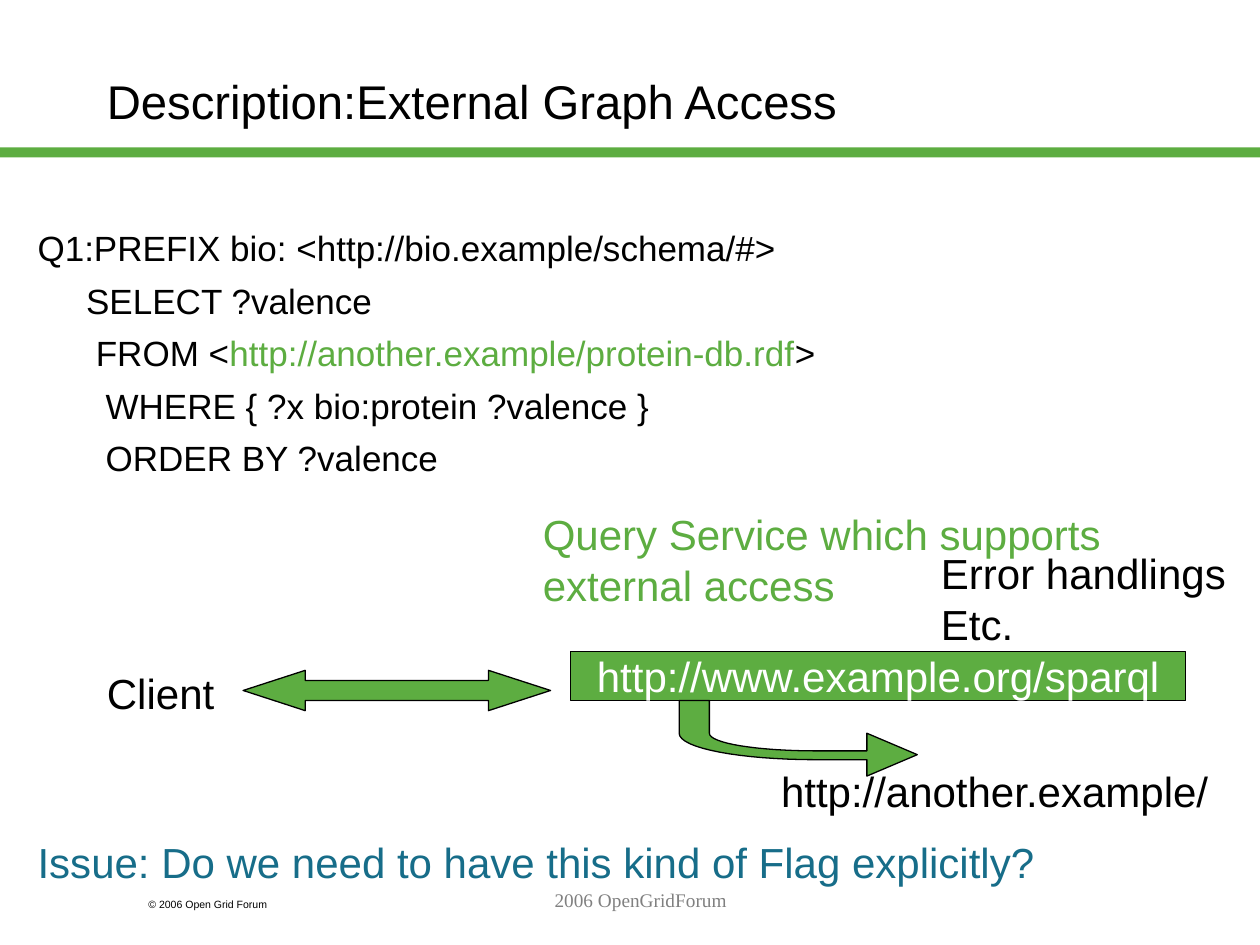
from pptx import Presentation
from pptx.dml.color import RGBColor
from pptx.enum.shapes import MSO_SHAPE
from pptx.enum.text import MSO_ANCHOR, PP_ALIGN
from pptx.util import Inches, Pt

COLORS = {
    "green": "5DAD41",
    "black": "000000",
    "white": "FFFFFF",
    "blue": "176D89",
    "gray": "808080",
}
RECT = MSO_SHAPE.RECTANGLE
DOUBLE_ARROW = MSO_SHAPE.LEFT_RIGHT_ARROW
MIDDLE = MSO_ANCHOR.MIDDLE
TOP = MSO_ANCHOR.TOP
LEFT, CENTER = PP_ALIGN.LEFT, PP_ALIGN.CENTER

# Each line is a list of (text, color) runs
QUERY = [
    [("Q1:PREFIX bio: <http://bio.example/schema/#>", "black")],
    [("     SELECT ?valence", "black")],
    [("      FROM <", "black"),
     ("http://another.example/protein-db.rdf", "green"),
     (">", "black")],
    [("       WHERE { ?x bio:protein ?valence }", "black")],
    [("       ORDER BY ?valence", "black")],
]

# Diagram labels: box, lines, color
LABELS = [
    ((4.21, 3.99, 4.63, 0.9),
     ["Query Service which supports", "external access"], "green"),
    ((0.75, 5.25, 1.05, 0.5), ["Client"], "black"),
    ((6.1, 6.03, 3.61, 0.5), ["http://another.example/"], "black"),
    ((0.2, 6.59, 8.11, 0.5),
     ["Issue: Do we need to have this kind of Flag explicitly?"], "blue"),
    ((7.37, 4.3, 2.46, 0.9), ["Error handlings", "Etc."], "black"),
]


def rgb(name):
    return RGBColor.from_string(COLORS[name])


def write_lines(tf, lines, size, color, font="Arial", align=LEFT):
    for i, line in enumerate(lines):
        p = tf.paragraphs[0] if i == 0 else tf.add_paragraph()
        p.text = line
        p.alignment = align
        p.font.size = Pt(size)
        p.font.name = font
        p.font.color.rgb = rgb(color)


def add_text(slide, box, lines, size, color, wrap=True, anchor=TOP, **style):
    tf = slide.shapes.add_textbox(*map(Inches, box)).text_frame
    tf.word_wrap = wrap
    tf.vertical_anchor = anchor
    write_lines(tf, lines, size, color, **style)


def add_query(slide, box, lines):
    tf = slide.shapes.add_textbox(*map(Inches, box)).text_frame
    tf.word_wrap = True
    for i, runs in enumerate(lines):
        p = tf.paragraphs[0] if i == 0 else tf.add_paragraph()
        if i:
            p.space_before = Pt(6)
        p.font.size = Pt(20)
        p.font.name = "Arial"
        for text, color in runs:
            r = p.add_run()
            r.text = text
            r.font.color.rgb = rgb(color)


def style_shape(sp, outlined=True):
    sp.shadow.inherit = False
    sp.fill.solid()
    sp.fill.fore_color.rgb = rgb("green")
    if outlined:
        sp.line.color.rgb = rgb("black")
        sp.line.width = Pt(0.75)
    else:
        sp.line.fill.background()


def add_green_shape(slide, kind, box, outlined=True):
    sp = slide.shapes.add_shape(kind, *map(Inches, box))
    style_shape(sp, outlined)
    return sp


def curve(p0, p1, p2, p3, steps=16):
    """Points along a cubic curve, both ends included."""
    points = []
    for i in range(steps + 1):
        t = i / steps
        u = 1 - t
        weights = (u ** 3, 3 * u * u * t, 3 * u * t * t, t ** 3)
        points.append(tuple(
            sum(w * c for w, c in zip(weights, axis))
            for axis in zip(p0, p1, p2, p3)))
    return points


def add_curved_arrow(slide):
    outer = curve((5.39, 5.82), (5.39, 5.94), (5.88, 6.03), (6.48, 6.03))
    inner = curve((6.48, 5.96), (6.01, 5.96), (5.63, 5.9), (5.63, 5.82))
    head = [(6.88, 6.03), (6.88, 6.16), (7.28, 5.99), (6.88, 5.82), (6.88, 5.96)]
    points = [(5.39, 5.56), *outer, *head, *inner, (5.63, 5.56)]
    start, *rest = [(Inches(x), Inches(y)) for x, y in points]
    builder = slide.shapes.build_freeform(*start)
    builder.add_line_segments(rest, close=True)
    style_shape(builder.convert_to_shape())


def main():
    prs = Presentation()
    prs.slide_width, prs.slide_height = Inches(10), Inches(7.5)
    slide = prs.slides.add_slide(prs.slide_layouts[6])

    # Header and rule
    add_green_shape(slide, RECT, (0, 1.17, 10, 0.08), outlined=False)
    add_text(slide, (0.75, 0.17, 8.5, 1.25),
             ["Description:External Graph Access"], 27, "black", anchor=MIDDLE)

    # Query code
    add_query(slide, (0.2, 1.75, 8.5, 2.1), QUERY)

    # Service box
    service = add_green_shape(slide, RECT, (4.53, 5.17, 4.88, 0.39))
    service.text_frame.word_wrap = False
    service.text_frame.vertical_anchor = MIDDLE
    write_lines(service.text_frame, ["http://www.example.org/sparql"],
                24, "white", align=CENTER)

    # Arrows
    exchange = add_green_shape(slide, DOUBLE_ARROW, (1.93, 5.32, 2.44, 0.32))
    exchange.adjustments[0] = 0.5
    exchange.adjustments[1] = 1.54
    add_curved_arrow(slide)

    # Labels
    for box, lines, color in LABELS:
        add_text(slide, box, lines, 24, color, wrap=False)

    # Footer
    add_text(slide, (1.08, 7.08, 1.5, 0.2), ["© 2006 Open Grid Forum"], 6, "black")
    add_text(slide, (2.17, 7, 5.83, 0.5), ["2006 OpenGridForum"], 11, "gray",
             font="Times New Roman", align=CENTER)

    prs.save("out.pptx")


if __name__ == "__main__":
    main()
